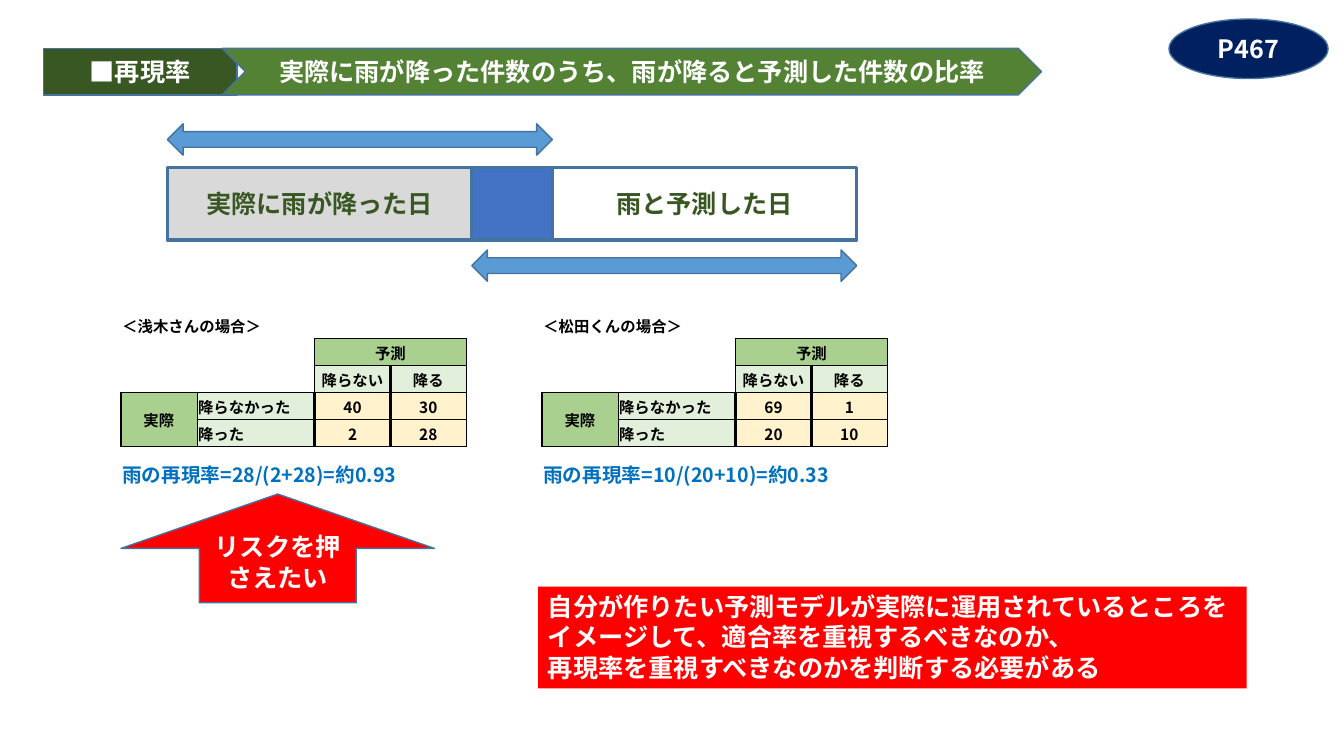
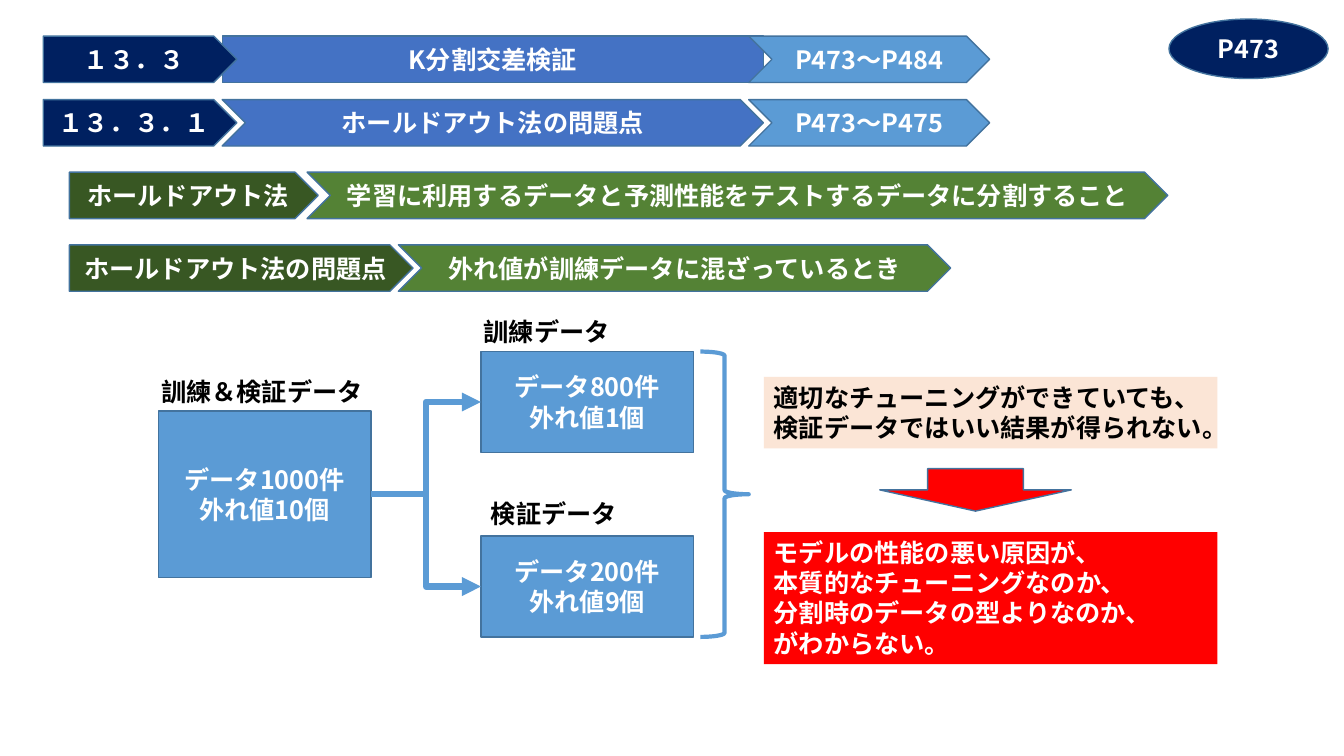
"""Build two slides on recall and on the holdout method."""
from lxml.etree import SubElement
from pptx import Presentation
from pptx.dml.color import RGBColor as Rgb
from pptx.enum.shapes import MSO_CONNECTOR as Link, MSO_SHAPE as Form
from pptx.enum.text import MSO_ANCHOR as Anchor, MSO_AUTO_SIZE as Fit, PP_ALIGN as Align
from pptx.oxml.ns import qn
from pptx.util import Cm, Pt

FONT = "Noto Sans CJK JP"
WHITE = Rgb(0xFF, 0xFF, 0xFF)
BLACK = Rgb(0, 0, 0)
RED = Rgb(0xFF, 0, 0)
NAVY = Rgb(0, 0x20, 0x60)
BLUE = Rgb(0x44, 0x72, 0xC4)
SKY = Rgb(0x5B, 0x9B, 0xD5)
EDGE = Rgb(0x43, 0x73, 0x9E)
INK = Rgb(0, 0x70, 0xC0)
PINE = Rgb(0x38, 0x57, 0x23)
GREEN = Rgb(0x54, 0x82, 0x35)
LEAF = Rgb(0xA9, 0xD0, 0x8E)
MINT = Rgb(0xE2, 0xEF, 0xDA)
CREAM = Rgb(0xFF, 0xF2, 0xCC)
PEACH = Rgb(0xFB, 0xE5, 0xD6)
GREY = Rgb(0xD9, 0xD9, 0xD9)

BAND = 1.17
PLAIN = "{2D5ABB26-0587-4C30-8999-92F81FD0307C}"


def place(*at):
    return [Cm(v) for v in at]


def write(frame, text, size=18, color=WHITE, align=Align.CENTER):
    for i, line in enumerate(text.split("\n")):
        para = frame.paragraphs[0] if i == 0 else frame.add_paragraph()
        para.alignment = align
        run = para.add_run()
        run.text = line
        font = run.font
        font.size, font.bold = Pt(size), True
        font.color.rgb = color
        font.name = FONT
        SubElement(run._r.get_or_add_rPr(), qn("a:ea"), typeface=FONT)


def paint(shape, fill=None, line=EDGE, width=1):
    shape.shadow.inherit = False
    if fill is None:
        shape.fill.background()
    else:
        shape.fill.solid()
        shape.fill.fore_color.rgb = fill
    if line is None:
        shape.line.fill.background()
    else:
        shape.line.color.rgb = line
        shape.line.width = Pt(width)


def draw(slide, form, at, fill=None, text="", line=EDGE, width=1, color=WHITE):
    shape = slide.shapes.add_shape(form, *place(*at))
    paint(shape, fill, line, width)
    if text:
        shape.text_frame.word_wrap = True
        shape.text_frame.vertical_anchor = Anchor.MIDDLE
        write(shape.text_frame, text, color=color)
    return shape


def note(slide, at, text, fill=None, color=BLACK):
    box = slide.shapes.add_textbox(*place(*at))
    if fill is not None:
        box.fill.solid()
        box.fill.fore_color.rgb = fill
    box.text_frame.word_wrap = True
    write(box.text_frame, text, color=color, align=Align.LEFT)


def head(slide, form, at, fill, text):
    title = slide.shapes.title
    title.left, title.top, title.width, title.height = place(*at)
    name = "homePlate" if form == Form.PENTAGON else "chevron"
    geom = SubElement(title._element.spPr, qn("a:prstGeom"), prst=name)
    SubElement(geom, qn("a:avLst"))
    paint(title, fill)
    frame = title.text_frame
    frame.auto_size, frame.word_wrap = Fit.NONE, True
    frame.vertical_anchor = Anchor.MIDDLE
    write(frame, text)


def band(slide, left, top, parts, lap=0.37, title=None):
    for i, (text, width, fill) in enumerate(parts):
        form = Form.CHEVRON if i else Form.PENTAGON
        at = (left, top, width, BAND)
        if i == title:
            head(slide, form, at, fill, text)
        else:
            draw(slide, form, at, fill, text)
        left += width - lap


def badge(slide, text):
    draw(slide, Form.OVAL, (29.46, 0.48, 4.01, 1.5), NAVY, text)


def join(slide, start, end):
    link = slide.shapes.add_connector(Link.ELBOW, 0, 0, 0, 0)
    link.begin_connect(start, 3)
    link.end_connect(end, 1)
    link.line.color.rgb = SKY
    link.line.width = Pt(4.5)
    props = link._element.spPr
    SubElement(props.find(qn("a:ln")), qn("a:tailEnd"), type="triangle")
    SubElement(props, qn("a:effectLst"))


def rule(cell, *widths):
    props = cell._tc.get_or_add_tcPr()
    for side, width in zip("LRTB", widths):
        line = SubElement(props, qn("a:ln" + side), w=str(Pt(width)))
        fill = SubElement(line, qn("a:solidFill"))
        SubElement(fill, qn("a:srgbClr"), val=str(BLACK))


def tint(cell, fill, *widths):
    rule(cell, *widths)
    cell.fill.solid()
    cell.fill.fore_color.rgb = fill


def case(table, col, name, counts, rate):
    def put(row, step, text, align=Align.CENTER, **style):
        write(table.cell(row, col + step).text_frame, text,
              **{"size": 11, "color": BLACK, "align": align, **style})

    def merge(row, step, last, end):
        table.cell(row, col + step).merge(table.cell(last, col + end))

    sides = (1, 0.5, 2, 2, 1)
    levels = (1, 0.5, 1)
    for step, text in ((2, "降らない"), (3, "降る")):
        tint(table.cell(1, col + step), LEAF, 1, 1, 1, 1)
        ends = (1, 2) if step == 2 else (2, 1)
        tint(table.cell(2, col + step), MINT, *ends, 1, 1)
        put(2, step, text)
    for i, (text, *pair) in enumerate(counts):
        for step, fill in enumerate((LEAF, MINT, CREAM, CREAM)):
            rows = levels[i:i + 2] if step else (1, 1)
            tint(table.cell(3 + i, col + step), fill, *sides[step:step + 2], *rows)
        put(3 + i, 1, text, Align.LEFT)
        for step, count in enumerate(pair, 2):
            put(3 + i, step, str(count))
    put(0, 0, name, Align.LEFT)
    put(1, 2, "予測")
    put(3, 0, "実際")
    put(5, 0, rate, Align.LEFT, size=14, color=INK)
    merge(0, 0, 0, 1)
    merge(1, 2, 1, 3)
    merge(3, 0, 4, 0)
    merge(5, 0, 6, 3)


def chart(slide, cases):
    block = (1.91, 2.97, 1.91, 1.91)
    cols = block + (1.91,) + block
    high = 0.68
    shape = slide.shapes.add_table(7, len(cols), *place(3.05, 7.85, sum(cols), 7 * high))
    table = shape.table
    table.first_row = table.horz_banding = False
    table._tbl.tblPr.find(qn("a:tableStyleId")).text = PLAIN
    for col, width in zip(table.columns, cols):
        col.width = Cm(width)
    for row in table.rows:
        row.height = Cm(high)
    for i, item in enumerate(cases):
        case(table, 5 * i, *item)
    for cell in table.iter_cells():
        cell.vertical_anchor = Anchor.MIDDLE
        cell.margin_left = cell.margin_right = cell.margin_top = Cm(0.03)
        cell.margin_bottom = 0
        para = cell.text_frame.paragraphs[0]
        if not para.runs:
            SubElement(para._p, qn("a:endParaRPr"), sz="1100")


def recall(slide):
    band(slide, 1.09, 1.22, [
        ("■再現率", 4.88, PINE),
        ("実際に雨が降った件数のうち、雨が降ると予測した件数の比率", 20.65, GREEN),
    ], title=0)
    left, side, mid = 4.22, 7.67, 2.03
    x = left
    for width, fill, text in ((side, GREY, "実際に雨が降った日"),
                              (mid, BLUE, ""), (side, None, "雨と予測した日")):
        draw(slide, Form.RECTANGLE, (x, 4.22, width, 1.83), fill, text,
             width=2.25, color=PINE)
        x += width
    for x, top in ((left, 3.12), (left + side, 6.3)):
        draw(slide, Form.LEFT_RIGHT_ARROW, (x, top, side + mid, 0.79), SKY)
    chart(slide, [
        ("＜浅木さんの場合＞", [("降らなかった", 40, 30), ("降った", 2, 28)],
         "雨の再現率=28/(2+28)=約0.93"),
        ("＜松田くんの場合＞", [("降らなかった", 69, 1), ("降った", 20, 10)],
         "雨の再現率=10/(20+10)=約0.33"),
    ])
    draw(slide, Form.UP_ARROW, (3.05, 12.45, 7.9, 2.74), RED, "リスクを押さえたい")
    note(slide, (13.56, 14.78, 17.86, 2.57),
         "自分が作りたい予測モデルが実際に運用されているところを\n"
         "イメージして、適合率を重視するべきなのか、\n"
         "再現率を重視すべきなのかを判断する必要がある", RED, WHITE)
    badge(slide, "P467")


def holdout(slide):
    for top, num, text, pages, title in (
            (0.91, "１３．３", "K分割交差検証", "P473～P484", 1),
            (2.51, "１３．３．１", "ホールドアウト法の問題点", "P473～P475", None)):
        band(slide, 1.09, top, [(num, 4.88, NAVY), (text, 13.64, BLUE),
                                (pages, 6.07, SKY)], title=title)
    badge(slide, "P473")
    band(slide, 1.75, 4.34, [
        ("ホールドアウト法", 6.27, PINE),
        ("学習に利用するデータと予測性能をテストするデータに分割すること", 21.69, GREEN),
    ], lap=0.28)
    band(slide, 1.75, 6.17, [
        ("ホールドアウト法の問題点", 8.66, PINE),
        ("外れ値が訓練データに混ざっているとき", 13.92, GREEN),
    ])
    whole, train, test = [
        draw(slide, Form.RECTANGLE, (x, y, 5.36, high), SKY,
             f"データ{count}件\n外れ値{odd}個")
        for x, y, high, count, odd in ((3.99, 10.36, 4.19, 1000, 10),
                                       (12.12, 8.86, 2.54, 800, 1),
                                       (12.12, 13.51, 2.54, 200, 9))]
    for end in (train, test):
        join(slide, whole, end)
    for x, y, text in ((3.81, 9.35, "訓練＆検証データ"), (11.94, 7.85, "訓練データ"),
                       (12.12, 12.42, "検証データ")):
        note(slide, (x, y, 6.93, 1.02), text)
    note(slide, (19.25, 9.5, 11.43, 1.8),
         "適切なチューニングができていても、\n検証データではいい結果が得られない。", PEACH)
    note(slide, (19.25, 13.41, 11.43, 3.33),
         "モデルの性能の悪い原因が、\n本質的なチューニングなのか、\n"
         "分割時のデータの型よりなのか、\nがわからない。", RED, WHITE)
    draw(slide, Form.RIGHT_BRACE, (17.65, 8.86, 1.22, 7.19), line=SKY, width=3)
    draw(slide, Form.DOWN_ARROW, (22.17, 11.81, 4.83, 1.07), RED)


def main():
    deck = Presentation()
    deck.slide_width, deck.slide_height = place(33.87, 19.05)
    for build in (recall, holdout):
        build(deck.slides.add_slide(deck.slide_layouts[5]))
    deck.save("out.pptx")


main()
